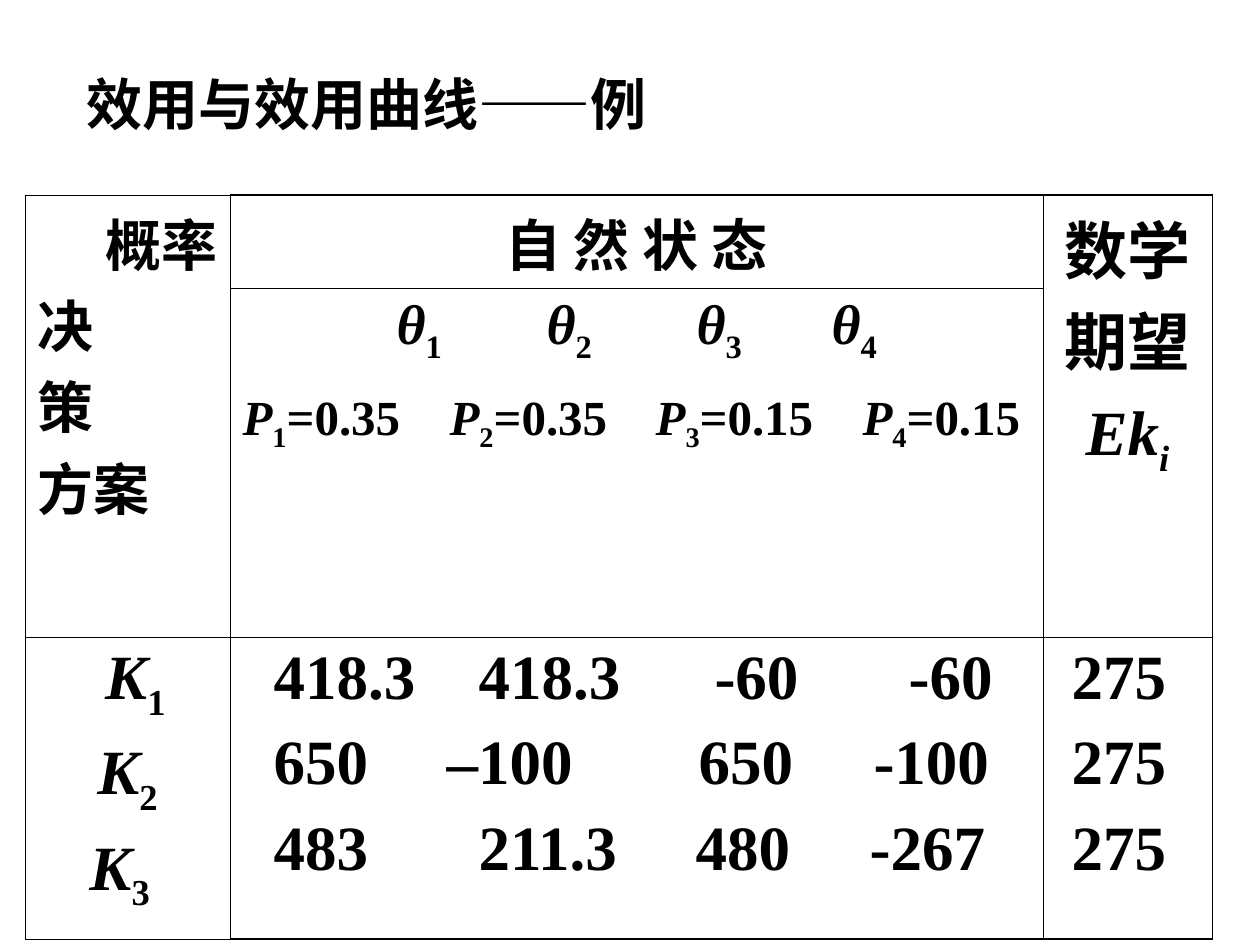
from lxml import etree
from pptx import Presentation, util as u
from pptx.dml.color import RGBColor
from pptx.enum import text
from pptx.oxml.ns import qn

PX = 914400 / 126
COLORS = {"ink": "000000"}
FONT = "Times New Roman"
LEFT, CENTER, RIGHT = text.PP_ALIGN.LEFT, text.PP_ALIGN.CENTER, text.PP_ALIGN.RIGHT


def add_paragraphs(frame, lines, size, align=LEFT, before=0, after=0, tabs=()):
    """Each line is a list of (text, style) runs; style holds i for italic, s for subscript."""
    for index, line in enumerate(lines):
        fresh = frame.paragraphs[0].text == ""
        paragraph = frame.paragraphs[0] if fresh else frame.add_paragraph()
        if tabs:
            tab_list = etree.SubElement(paragraph._p.get_or_add_pPr(), qn("a:tabLst"))
            for stop in tabs[index % len(tabs)]:
                etree.SubElement(tab_list, qn("a:tab"), pos=str(int(stop * PX)), algn="l")
        formats = {"alignment": align, "space_before": u.Pt(0 if fresh else before),
                   "space_after": u.Pt(after)}
        for name, value in formats.items():
            setattr(paragraph, name, value)
        for words, style in line:
            run = paragraph.add_run()
            run.text = words
            fonts = {"name": FONT, "size": u.Pt(size), "bold": True, "italic": "i" in style}
            for name, value in fonts.items():
                setattr(run.font, name, value)
            run.font.color.rgb = RGBColor.from_string(COLORS["ink"])
            if "s" in style:
                run._r.get_or_add_rPr().set("baseline", "-25000")


def set_borders(cell, widths):
    """Widths in points by side; a side that is missing has no line."""
    properties = cell._tc.get_or_add_tcPr()
    for side in "LRTB":
        width = widths.get(side, 0)
        line = etree.SubElement(properties, qn(f"a:ln{side}"), w=str(u.Pt(width)))
        if width:
            fill = etree.SubElement(line, qn("a:solidFill"))
            etree.SubElement(fill, qn("a:srgbClr"), val=COLORS["ink"])
        else:
            etree.SubElement(line, qn("a:noFill"))


presentation = Presentation()
presentation.slide_width, presentation.slide_height = u.Inches(10), u.Inches(7.5)
slide = presentation.slides.add_slide(presentation.slide_layouts[6])

# Title
title = slide.shapes.add_textbox(*(int(v * PX) for v in (74, 55, 1131, 96))).text_frame
title.word_wrap = True
title.vertical_anchor = text.MSO_ANCHOR.MIDDLE
add_paragraphs(title, [[("效用与效用曲线——例", "")]], 32)

# Table grid
columns, rows = (205, 813, 169, 30), (93, 349, 302)
box = (25, 195, sum(columns), sum(rows))
table = slide.shapes.add_table(3, 4, *(int(v * PX) for v in box)).table
table.first_row = table.horz_banding = False
for column, width in zip(table.columns, columns):
    column.width = int(width * PX)
for row, height in zip(table.rows, rows):
    row.height = int(height * PX)

# Borders: heavier along the top and bottom of the middle columns
for r in range(3):
    for c in range(4):
        cell = table.cell(r, c)
        widths = dict.fromkeys("LRTB" if c < 3 else "L", 0.45)
        if c in (1, 2) and r != 1:
            widths["T" if r == 0 else "B"] = 1.08
        set_borders(cell, widths)
        cell.fill.background()
for c in (0, 2):
    table.cell(0, c).merge(table.cell(1, c))
table.cell(0, 3).merge(table.cell(2, 3))

# Header cells
corner = table.cell(0, 0).text_frame
add_paragraphs(corner, [[("概率", "")]], 32, RIGHT)
add_paragraphs(corner, [[(words, "")] for words in ("决", "策", "方案")], 32)
add_paragraphs(table.cell(0, 1).text_frame, [[("自 然 状 态", "")]], 32, CENTER)
add_paragraphs(table.cell(0, 2).text_frame,
               [[("数学期望", "")], [("Ek", "i"), ("i", "is")]], 36, CENTER, before=9)

# States and their probabilities
states, chances = [], []
for number, chance in enumerate(("0.35", "0.35", "0.15", "0.15"), 1):
    states += [("\tθ", "i"), (str(number), "s")]
    chances += [("P" if number == 1 else "\tP", "i"), (str(number), "s"), (f"={chance}", "")]
state_frame = table.cell(1, 1).text_frame
add_paragraphs(state_frame, [states], 32, after=8, tabs=[(154, 304, 454, 589)])
add_paragraphs(state_frame, [chances], 28, before=7, tabs=[(207, 413, 620)])

# Decisions, payoffs and expected values
decisions = [[(" K", "i"), ("1", "s")], [("K", "i"), ("2", "s")],
             [("K", "i"), ("3", "s"), (" ", "")]]
payoffs = [("418.3", "418.3", "-60", "-60"),
           ("650", "–100", "650", "-100"),
           ("483", "211.3", "480", "-267")]
payoff_tabs = [(31, 236, 472, 666), (31, 204, 456, 631), (31, 236, 453, 627)]
add_paragraphs(table.cell(2, 0).text_frame, decisions, 36, CENTER, before=9)
add_paragraphs(table.cell(2, 1).text_frame,
               [[("".join(f"\t{value}" for value in values), "")] for values in payoffs],
               36, before=9, tabs=payoff_tabs)
add_paragraphs(table.cell(2, 2).text_frame, [[("\t275", "")]] * 3, 36, before=9, tabs=[(16,)])

presentation.save("out.pptx")
